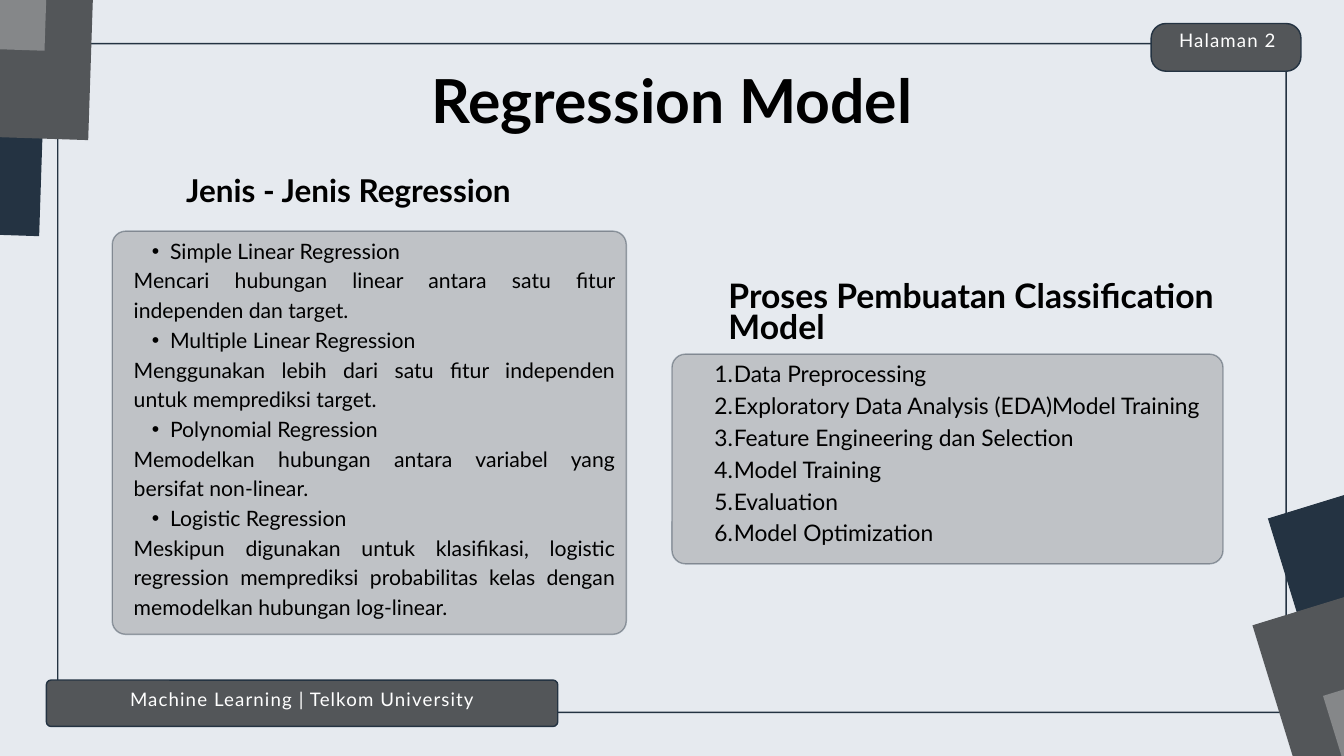
from lxml.etree import SubElement
from pptx import Presentation
from pptx.dml.color import RGBColor
from pptx.enum.shapes import MSO_SHAPE
from pptx.enum.text import MSO_ANCHOR, MSO_AUTO_SIZE, PP_ALIGN
from pptx.oxml.ns import qn
from pptx.util import Inches, Pt

COLORS = {
    "paper": "E6EAEF",
    "navy": "243342",
    "slate": "535659",
    "gray": "858789",
    "black": "000000",
    "white": "FFFFFF",
}

REGRESSION_TYPES = [
    ("Simple Linear Regression",
     "Mencari hubungan linear antara satu fitur independen dan target."),
    ("Multiple Linear Regression",
     "Menggunakan lebih dari satu fitur independen untuk memprediksi target."),
    ("Polynomial Regression",
     "Memodelkan hubungan antara variabel yang bersifat non-linear."),
    ("Logistic Regression",
     "Meskipun digunakan untuk klasifikasi, logistic regression memprediksi "
     "probabilitas kelas dengan memodelkan hubungan log-linear."),
]

PROCESS_STEPS = [
    "Data Preprocessing",
    "Exploratory Data Analysis (EDA)Model Training",
    "Feature Engineering dan Selection",
    "Model Training",
    "Evaluation",
    "Model Optimization",
]


def rgb(name):
    return RGBColor.from_string(COLORS[name])


def set_opacity(color_parent, percent):
    color = color_parent.find(".//" + qn("a:srgbClr"))
    SubElement(color, qn("a:alpha"), val=str(percent * 1000))


def add_panel(slide, box, radius, fill, opacity=None):
    """Outlined rounded rectangle with its corner radius in inches."""
    panel = slide.shapes.add_shape(MSO_SHAPE.ROUNDED_RECTANGLE, *map(Inches, box))
    panel.adjustments[0] = radius / min(box[2:])
    panel.shadow.inherit = False
    panel.fill.solid()
    panel.fill.fore_color.rgb = rgb(fill)
    panel.line.color.rgb = rgb("navy")
    panel.line.width = Pt(1.5)
    if opacity:
        properties = panel._element.spPr
        set_opacity(properties.find(qn("a:solidFill")), opacity)
        set_opacity(properties.find(qn("a:ln")), opacity)


def add_corner_squares(slide, squares, rotation):
    """Stack of tilted squares that runs off a slide corner."""
    for left, top, fill in squares:
        square = slide.shapes.add_shape(
            MSO_SHAPE.RECTANGLE, Inches(left), Inches(top), Inches(6.07), Inches(6.1))
        square.rotation = rotation
        square.shadow.inherit = False
        square.fill.solid()
        square.fill.fore_color.rgb = rgb(fill)
        square.line.fill.background()


def place(slide, holder, box):
    """Position a text holder, strip its insets and bring it to the front."""
    holder.left, holder.top, holder.width, holder.height = map(Inches, box)
    frame = holder.text_frame
    frame.margin_left = frame.margin_right = 0
    frame.margin_top = frame.margin_bottom = 0
    frame.word_wrap = True
    frame.auto_size = MSO_AUTO_SIZE.NONE
    frame.vertical_anchor = MSO_ANCHOR.TOP
    slide.shapes._spTree.append(holder._element)
    return frame


def write(frame, text, size, leading, color="black", bold=False,
          align=PP_ALIGN.LEFT, tracking=None, marker="a:buNone", indent=0, **marker_values):
    """Add one paragraph; the first call fills the empty first paragraph."""
    paragraph = frame.paragraphs[0]
    if paragraph.runs:
        paragraph = frame.add_paragraph()
    properties = paragraph._p.get_or_add_pPr()
    properties.set("marL", str(Inches(2 * indent)))
    properties.set("indent", str(-Inches(indent)))
    if marker == "a:buChar":
        SubElement(properties, qn("a:buFont"), typeface="Arial")
    SubElement(properties, qn(marker), **marker_values)
    paragraph.level = 1 if indent else 0
    paragraph.alignment = align
    paragraph.line_spacing = Pt(leading)
    paragraph.space_before = paragraph.space_after = Pt(0)

    run = paragraph.add_run()
    run.text = text
    run.font.name = "Lato"
    run.font.size = Pt(size)
    run.font.bold = bold
    run.font.color.rgb = rgb(color)
    if tracking:
        run._r.get_or_add_rPr().set("spc", str(round(tracking * 100)))


def add_label(slide, text, box):
    frame = place(slide, slide.shapes.add_textbox(0, 0, 0, 0), box)
    write(frame, text, 20, 28, color="white", align=PP_ALIGN.CENTER, tracking=1.2)


def main():
    prs = Presentation()
    prs.slide_width, prs.slide_height = Inches(20), Inches(11.25)
    slide = prs.slides.add_slide(prs.slide_layouts.get_by_name("Comparison"))
    slide.background.fill.solid()
    slide.background.fill.fore_color.rgb = rgb("paper")
    title, types_heading, types_body, process_heading, process_body = slide.placeholders

    # Page frame and corner decoration
    add_panel(slide, (0.86, 0.65, 18.28, 9.95), 0.1, "paper")
    add_corner_squares(slide, [(-5.4, -2.67, "navy"), (-4.67, -4.1, "slate"),
                               (-5.32, -5.43, "gray")], 271.9)
    add_corner_squares(slide, [(19.64, 6.67, "navy"), (19.41, 8.26, "slate"),
                               (20.46, 9.31, "gray")], 72.9)

    # Title
    write(place(slide, title, (5.77, 1.19, 8.46, 1.21)), "Regression Model",
          65, 59.8, bold=True, align=PP_ALIGN.CENTER)

    # Types of regression
    add_panel(slide, (1.67, 3.44, 7.65, 6), 0.2, "gray", opacity=40)
    write(place(slide, types_heading, (2.77, 2.67, 6.32, 0.64)),
          "Jenis - Jenis Regression", 33.7, 31, bold=True)
    types_frame = place(slide, types_body, (1.99, 3.48, 7.16, 5.9))
    for name, description in REGRESSION_TYPES:
        write(types_frame, name, 22.7, 31.8, align=PP_ALIGN.JUSTIFY,
              marker="a:buChar", indent=0.27, char="•")
        write(types_frame, description, 22.7, 31.8, align=PP_ALIGN.JUSTIFY)

    # Process steps
    add_panel(slide, (10, 5.27, 8.2, 3.12), 0.2, "gray", opacity=40)
    write(place(slide, process_heading, (10.84, 4.23, 7.83, 1.15)),
          "Proses Pembuatan Classification Model", 36.1, 33.2, bold=True)
    process_frame = place(slide, process_body, (10.34, 5.29, 7.68, 2.93))
    for step in PROCESS_STEPS:
        write(process_frame, step, 24.4, 34.1, align=PP_ALIGN.JUSTIFY,
              marker="a:buAutoNum", indent=0.29, type="arabicPeriod")

    # Page tag and footer
    add_panel(slide, (17.13, 0.35, 2.23, 0.71), 0.22, "slate")
    add_label(slide, "Halaman 2", (17.08, 0.38, 2.37, 0.49))
    add_panel(slide, (0.69, 10.12, 7.61, 0.69), 0.07, "slate")
    add_label(slide, "Machine Learning | Telkom University", (0.6, 10.18, 7.79, 0.49))

    prs.save("out.pptx")


if __name__ == "__main__":
    main()
